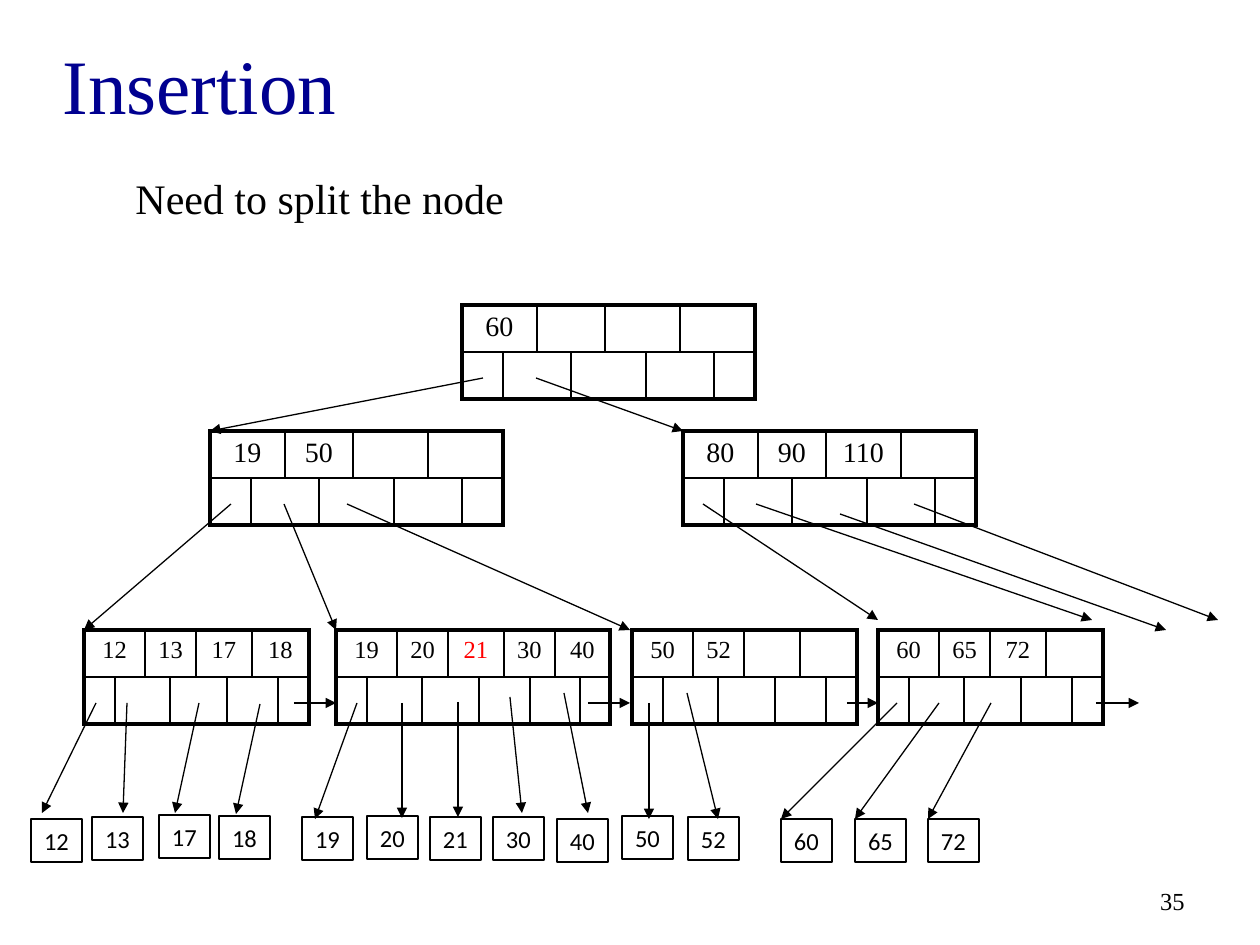
"""Draws a B+ tree whose leaf overflows on insertion."""
from dataclasses import dataclass

from lxml.etree import SubElement
from pptx import Presentation
from pptx.dml.color import RGBColor
from pptx.enum.shapes import MSO_CONNECTOR, MSO_SHAPE
from pptx.enum.text import MSO_ANCHOR, MSO_AUTO_SIZE, PP_ALIGN
from pptx.oxml.ns import qn
from pptx.util import Emu, Pt

LEFT, MID, RIGHT = PP_ALIGN.LEFT, PP_ALIGN.CENTER, PP_ALIGN.RIGHT
TOP, HALF = MSO_ANCHOR.TOP, MSO_ANCHOR.MIDDLE
GROW, FIXED = MSO_AUTO_SIZE.SHAPE_TO_FIT_TEXT, MSO_AUTO_SIZE.NONE
RECT, LINE = MSO_SHAPE.RECTANGLE, MSO_CONNECTOR.STRAIGHT
SCALE = 914400 / 126


@dataclass(frozen=True)
class Theme:
    ink: str = "000000"
    head: str = "000090"
    hot: str = "FF0000"
    serif: str = "Times New Roman"
    sans: str = "Calibri"
    title: int = 44
    note: int = 24
    large: int = 16
    small: int = 14
    thin: float = 0.75
    inner: float = 1
    outer: float = 2.25


@dataclass(frozen=True)
class Node:
    left: int
    top: int
    cols: tuple[int, ...]
    keys: tuple[str, ...]
    size: int
    hot: str = ""


@dataclass(frozen=True)
class Box:
    text: str
    left: int
    top: int


@dataclass(frozen=True)
class Arrow:
    x1: int
    y1: int
    x2: int
    y2: int


THEME = Theme()
ROW, BOX_W, BOX_H = 47, 51, 43
WIDE = (41, 34, 34, 34, 41, 34, 34, 41)
SLIM = (31, 26, 25, 26, 31, 25, 26, 31)
LONG = SLIM[:-1] + (25, 25, 29)

NODES = (
    Node(462, 305, WIDE, ("60",), THEME.large),
    Node(210, 431, WIDE, ("19", "50"), THEME.large),
    Node(683, 431, WIDE, ("80", "90", "110"), THEME.large),
    Node(84, 630, SLIM, ("12", "13", "17", "18"), THEME.small),
    Node(336, 630, LONG, ("19", "20", "21", "30", "40"), THEME.small, "21"),
    Node(632, 630, SLIM, ("50", "52"), THEME.small),
    Node(878, 630, SLIM, ("60", "65", "72"), THEME.small),
)
BOXES = (
    Box("12", 31, 819), Box("13", 92, 817), Box("17", 159, 815),
    Box("18", 219, 816), Box("19", 302, 817), Box("20", 367, 816),
    Box("21", 430, 817), Box("30", 493, 817), Box("40", 557, 819),
    Box("50", 622, 816), Box("52", 688, 817), Box("60", 781, 819),
    Box("65", 855, 819), Box("72", 928, 819),
)
ARROWS = (
    Arrow(483, 378, 210, 431), Arrow(536, 378, 683, 431),
    Arrow(231, 504, 84, 630), Arrow(284, 504, 336, 630),
    Arrow(347, 504, 630, 630), Arrow(703, 504, 878, 620),
    Arrow(756, 504, 1092, 620), Arrow(840, 514, 1166, 630),
    Arrow(914, 504, 1218, 620), Arrow(294, 703, 336, 703),
    Arrow(588, 703, 630, 703), Arrow(847, 703, 878, 703),
    Arrow(1096, 703, 1139, 703), Arrow(96, 703, 42, 813),
    Arrow(127, 703, 123, 813), Arrow(199, 703, 175, 813),
    Arrow(260, 704, 236, 814), Arrow(357, 703, 315, 819),
    Arrow(402, 703, 402, 818), Arrow(458, 702, 458, 817),
    Arrow(510, 697, 522, 813), Arrow(564, 693, 588, 813),
    Arrow(649, 703, 649, 819), Arrow(687, 693, 718, 819),
    Arrow(897, 703, 781, 819), Arrow(939, 703, 855, 819),
    Arrow(991, 703, 928, 819),
)


def px(count: int) -> Emu:
    """Turn px into EMU."""
    return Emu(round(count * SCALE))


def write(frame, text: str, *, size: int, color: str = THEME.ink,
          font: str = THEME.serif, align=LEFT, anchor=TOP,
          wrap: bool = True, fit=FIXED) -> None:
    """Put one formatted line of text in a frame."""
    frame.word_wrap = wrap
    frame.auto_size = fit
    frame.vertical_anchor = anchor
    para = frame.paragraphs[0]
    para.alignment = align
    run = para.add_run()
    run.text = text
    run.font.size = Pt(size)
    run.font.name = font
    run.font.color.rgb = RGBColor.from_string(color)


def edge(cell, sides: dict[str, float]) -> None:
    """Give a cell its four borders."""
    props = cell._tc.get_or_add_tcPr()
    for side, width in sides.items():
        line = SubElement(props, qn(f"a:ln{side}"), w=str(Pt(width)))
        fill = SubElement(line, qn("a:solidFill"))
        SubElement(fill, qn("a:srgbClr"), val=THEME.ink)
    cell.fill.background()


def fill_key(cell, key: str, node: Node) -> None:
    """Set a cell's key and the size of its empty line."""
    para = cell.text_frame.paragraphs[0]
    if key:
        color = THEME.hot if key == node.hot else THEME.ink
        para.alignment = MID
        gap = SubElement(para._p.get_or_add_pPr(), qn("a:spcBef"))
        SubElement(gap, qn("a:spcPct"), val="20000")
        run = para.add_run()
        run.text = key
        run.font.size = Pt(node.size)
        run.font.name = THEME.serif
        run.font.color.rgb = RGBColor.from_string(color)
    SubElement(para._p, qn("a:endParaRPr"), sz=str(node.size * 100))


def draw_node(slide, node: Node) -> None:
    """Draw a tree node with keys over child slots."""
    count = len(node.cols)
    table = slide.shapes.add_table(2, count, px(node.left), px(node.top),
                                   px(sum(node.cols)), px(2 * ROW)).table
    table.first_row = table.horz_banding = False
    for col, width in zip(table.columns, node.cols):
        col.width = px(width)
    for row in table.rows:
        row.height = px(ROW)
    for row in range(2):
        for col in range(row, count - row, 2):
            table.cell(row, col).merge(table.cell(row, col + 1))
        for col in range(count):
            cell = table.cell(row, col)
            last = col + (cell.span_width if cell.is_merge_origin else 1)
            outer = {"L": col == 0, "R": last == count,
                     "T": row == 0, "B": row == 1}
            edge(cell, {side: THEME.outer if out else THEME.inner
                        for side, out in outer.items()})
            slot = col // 2
            shown = row == 0 and col % 2 == 0 and slot < len(node.keys)
            fill_key(cell, node.keys[slot] if shown else "", node)


def draw_box(slide, box: Box) -> None:
    """Draw a data record."""
    shape = slide.shapes.add_shape(RECT, px(box.left), px(box.top),
                                   px(BOX_W), px(BOX_H))
    shape.shadow.inherit = False
    shape.fill.background()
    shape.line.color.rgb = RGBColor.from_string(THEME.ink)
    shape.line.width = Pt(THEME.thin)
    write(shape.text_frame, box.text, size=THEME.small, font=THEME.sans,
          align=MID, anchor=HALF, wrap=False, fit=GROW)


def draw_arrow(slide, arrow: Arrow) -> None:
    """Draw a pointer with a head at its end."""
    link = slide.shapes.add_connector(LINE, px(arrow.x1), px(arrow.y1),
                                      px(arrow.x2), px(arrow.y2))
    link.line.color.rgb = RGBColor.from_string(THEME.ink)
    link.line.width = Pt(THEME.thin)
    SubElement(link.line._get_or_add_ln(), qn("a:tailEnd"), type="triangle")
    SubElement(link._element.spPr, qn("a:effectLst"))


def main() -> None:
    """Build and save the slide."""
    deck = Presentation()
    deck.slide_width, deck.slide_height = px(1260), px(945)
    slide = deck.slides.add_slide(deck.slide_layouts[5])
    title = slide.shapes.title
    title.left, title.top = px(50), px(14)
    title.width, title.height = px(1134), px(140)
    write(title.text_frame, "Insertion", size=THEME.title,
          color=THEME.head, anchor=HALF)
    note = slide.shapes.add_textbox(px(123), px(166), px(399), px(63))
    write(note.text_frame, "Need to split the node", size=THEME.note,
          wrap=False, fit=GROW)
    page = slide.shapes.add_textbox(px(903), px(876), px(294), px(50))
    write(page.text_frame, "35", size=THEME.small, align=RIGHT, anchor=HALF)
    for node in NODES:
        draw_node(slide, node)
    for box in BOXES:
        draw_box(slide, box)
    for arrow in ARROWS:
        draw_arrow(slide, arrow)
    deck.save("out.pptx")


if __name__ == "__main__":
    main()
